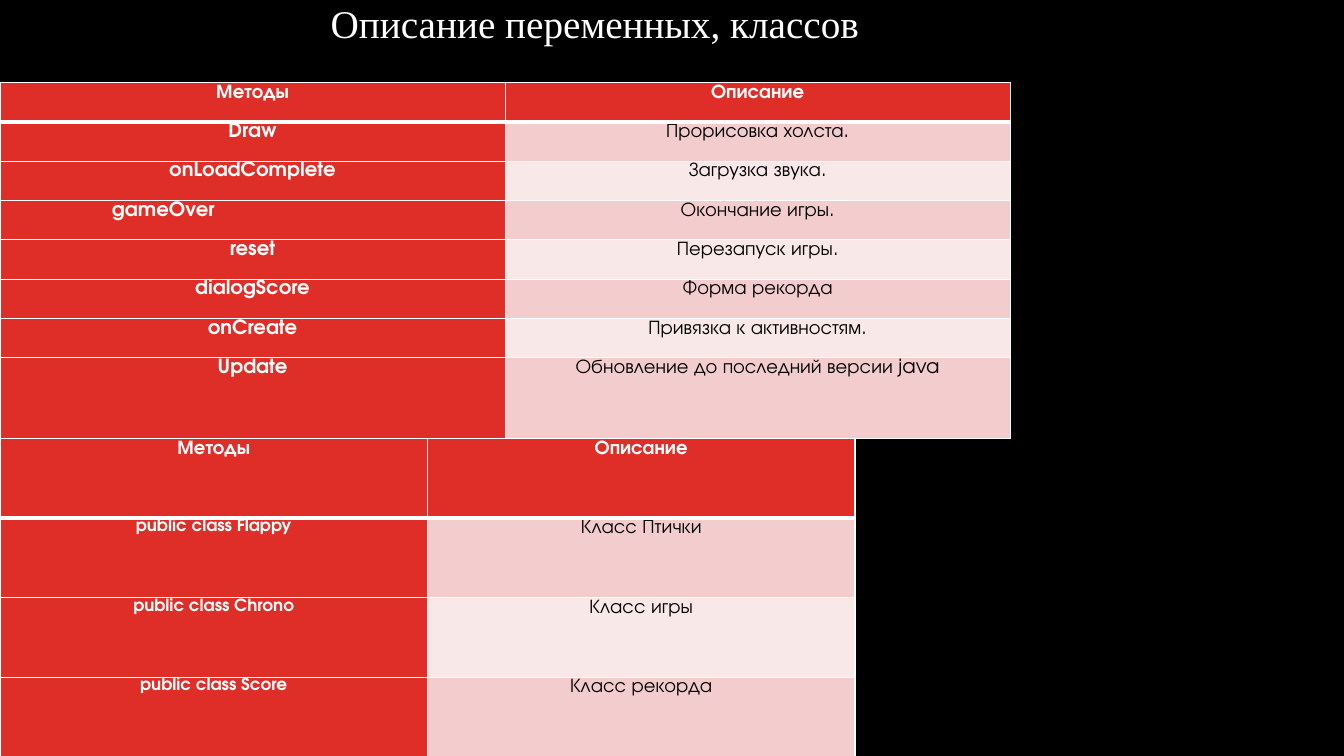
from pptx import Presentation
from pptx import util as u
from pptx.dml.color import RGBColor
from pptx.enum import text as t
from pptx.oxml import parse_xml
from pptx.oxml.ns import nsdecls

WHITE = RGBColor(0xFF, 0xFF, 0xFF)
BLACK = RGBColor(0, 0, 0)
RED = RGBColor(0xDF, 0x2E, 0x28)
PINK = RGBColor(0xF3, 0xCD, 0xCD)
PALE = RGBColor(0xF9, 0xE8, 0xE8)

HEAD = ("Методы", "Описание")
METHODS = [
    HEAD,
    ("Draw", "Прорисовка холста."),
    ("onLoadComplete", "Загрузка звука."),
    ("\tgameOver", "Окончание игры."),
    ("reset", "Перезапуск игры."),
    ("dialogScore", "Форма рекорда"),
    ("onCreate", "Привязка к активностям."),
    ("Update", "Обновление до последний версии java"),
]
CLASSES = [
    HEAD,
    ("public class Flappy", "Класс Птички"),
    ("public class Chrono", "Класс игры"),
    ("public class Score", "Класс рекорда"),
]


def style(para, face, size, color, bold):
    for run in para.runs:
        run.font.name = face
        run.font.size = u.Pt(size)
        run.font.color.rgb = color
        run.font.bold = bold


def border(cell, row):
    props = cell._tc.get_or_add_tcPr()
    thick = {"T": row == 1, "B": row == 0}
    for side in "LRTB":
        width = u.Pt(3 if thick.get(side) else 1)
        props.append(parse_xml(
            f'<a:ln{side} {nsdecls("a")} w="{width}"><a:solidFill>'
            f'<a:srgbClr val="{WHITE}"/></a:solidFill></a:ln{side}>'))


deck = Presentation()
deck.slide_width = u.Inches(13.33)
deck.slide_height = u.Inches(7.5)
slide = deck.slides.add_slide(deck.slide_layouts[5])
slide.background.fill.solid()
slide.background.fill.fore_color.rgb = BLACK

title = slide.shapes.title
title.left, title.top = u.Inches(3.18), u.Inches(0)
title.width, title.height = u.Inches(6.3), u.Inches(1.03)
frame = title.text_frame
frame.text = "Описание переменных, классов"
frame.vertical_anchor = t.MSO_ANCHOR.TOP
frame.auto_size = t.MSO_AUTO_SIZE.NONE
para = frame.paragraphs[0]
para.alignment = t.PP_ALIGN.LEFT
para.line_spacing = 0.9
style(para, "Times New Roman", 28, WHITE, False)

tables = [
    (METHODS, 0.82, 5.01, [0.39] * 7 + [0.8], 14),
    (CLASSES, 4.35, 4.24, [0.79] * 4, 12),
]
for rows, top, width, tall, size in tables:
    grid = slide.shapes.add_table(
        len(rows), 2, u.Inches(0), u.Inches(top),
        u.Inches(2 * width), u.Inches(sum(tall))).table
    for col in grid.columns:
        col.width = u.Inches(width)
    for r, words in enumerate(rows):
        grid.rows[r].height = u.Inches(tall[r])
        for c, word in enumerate(words):
            cell = grid.cell(r, c)
            cell.margin_left = cell.margin_right = u.Inches(0.07)
            cell.margin_top = cell.margin_bottom = 0
            border(cell, r)
            strong = r == 0 or c == 0
            cell.fill.solid()
            cell.fill.fore_color.rgb = RED if strong else PINK if r % 2 else PALE
            cell.text_frame.text = word
            para = cell.text_frame.paragraphs[0]
            para.line_spacing = 1.07
            para.alignment = t.PP_ALIGN.CENTER
            if word.startswith("\t"):
                para.alignment = t.PP_ALIGN.LEFT
                para._p.get_or_add_pPr().append(parse_xml(
                    f'<a:tabLst {nsdecls("a")}>'
                    f'<a:tab pos="{u.Inches(1.55)}" algn="ctr"/></a:tabLst>'))
            points = size if r and c == 0 else 14
            style(para, "TeX Gyre Adventor", points, WHITE if strong else BLACK, strong)

deck.save("out.pptx")
